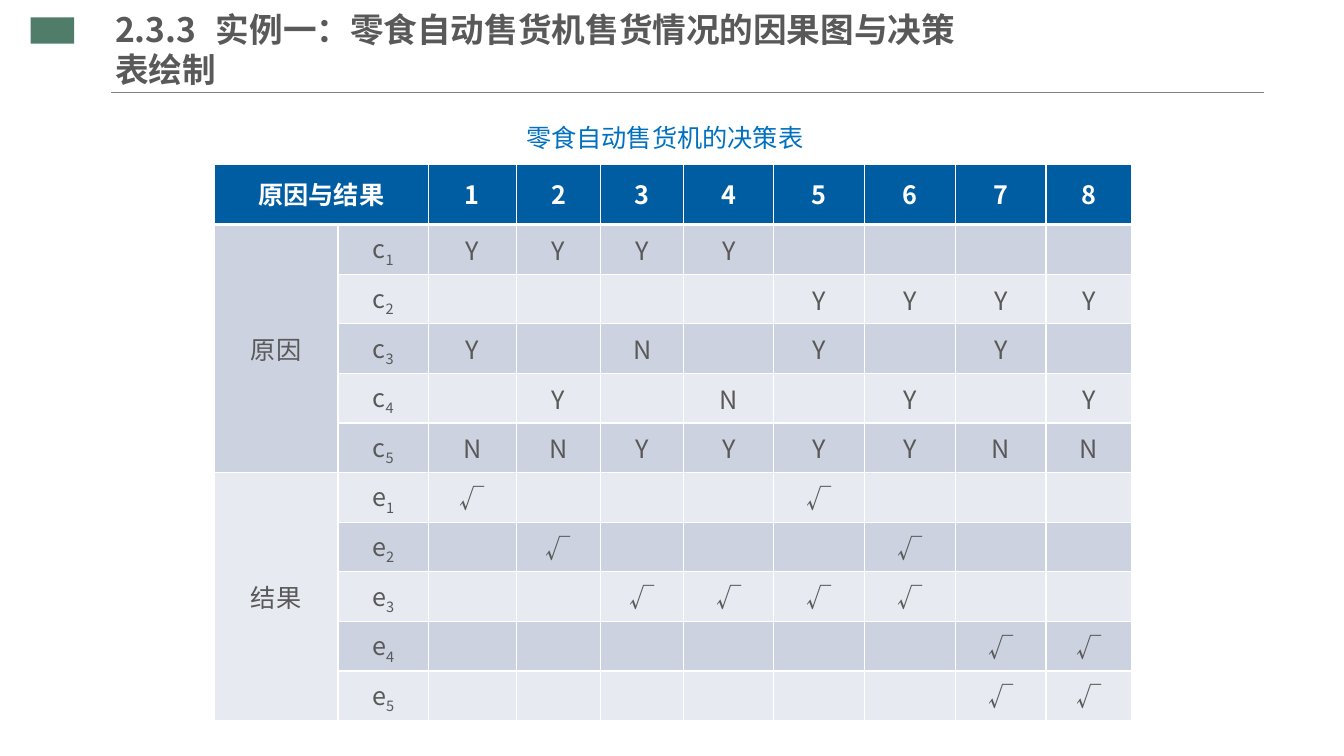
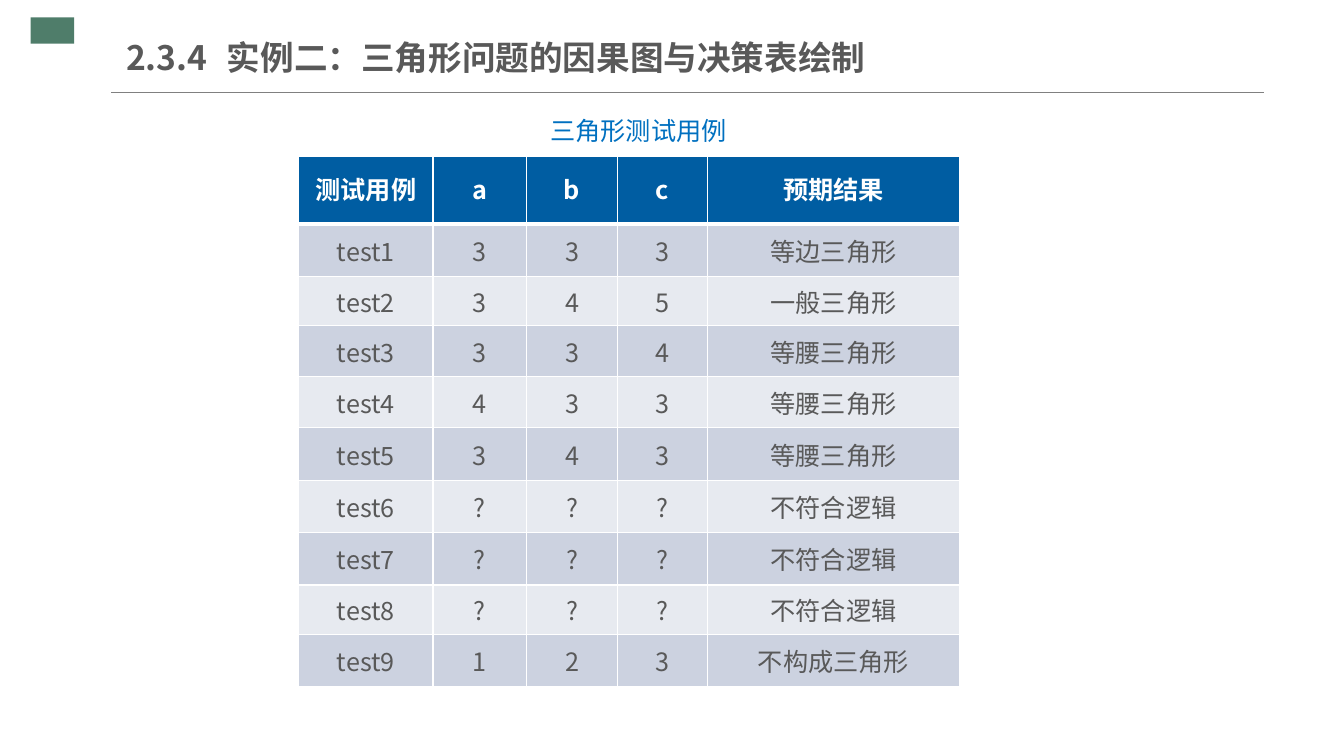
import pptx
import pptx.util
import pptx.dml.color
import pptx.enum.shapes
import pptx.enum.text
import pptx.oxml.ns
import lxml.etree
from dataclasses import dataclass

Cm = pptx.util.Cm
Pt = pptx.util.Pt
ALIGN = pptx.enum.text.PP_ALIGN
MIDDLE = pptx.enum.text.MSO_ANCHOR.MIDDLE
qn = pptx.oxml.ns.qn


@dataclass(frozen=True)
class Theme:
    font: str = "Noto Sans CJK SC"
    mark: str = "4F7D6A"
    rule: str = "808080"
    ink: str = "595959"
    blue: str = "0070C0"
    head: str = "005DA2"
    white: str = "FFFFFF"
    bands: tuple = ("CCD2E0", "E7EAF0")
    title: int = 24
    body: int = 18
    thin: int = 1
    thick: int = 3


THEME = Theme()

RULES = [
    ("原因", "c_1", "YYYY----"),
    ("", "c_2", "----YYYY"),
    ("", "c_3", "Y-N-Y-Y-"),
    ("", "c_4", "-Y-N-Y-Y"),
    ("", "c_5", "NNYYYYNN"),
    ("结果", "e_1", "√---√---"),
    ("", "e_2", "-√---√--"),
    ("", "e_3", "--√√√√--"),
    ("", "e_4", "------√√"),
    ("", "e_5", "------√√"),
]

CASES = [
    ("333", "等边三角形"),
    ("345", "一般三角形"),
    ("334", "等腰三角形"),
    ("433", "等腰三角形"),
    ("343", "等腰三角形"),
    ("???", "不符合逻辑"),
    ("???", "不符合逻辑"),
    ("???", "不符合逻辑"),
    ("123", "不构成三角形"),
]

PAGES = [
    {
        "title": "2.3.3\t实例一：零食自动售货机售货情况的因果图与决策表绘制",
        "title_box": (2.9, 0.53, 21.56, 1.4),
        "label": "零食自动售货机的决策表",
        "label_box": (12.93, 2.51, 8.13, 1.6),
        "origin": (5.4, 4.14),
        "cols": (3.12, 2.27, 2.22, 2.13, 2.09, 2.27, 2.29, 2.3, 2.27, 2.17),
        "rows": (1.52,) + (1.25,) * len(RULES),
        "cells": [["原因与结果", "", *"12345678"]]
        + [[group, name, *marks.replace("-", " ")] for group, name, marks in RULES],
        "spans": [((0, 0), (0, 1)), ((1, 0), (5, 0)), ((6, 0), (10, 0))],
    },
    {
        "title": "2.3.4\t实例二：三角形问题的因果图与决策表绘制",
        "title_box": (3.18, 0.74, 19.48, 1.4),
        "label": "三角形测试用例",
        "label_box": (13.54, 2.34, 6.17, 1.85),
        "origin": (7.53, 3.94),
        "cols": (3.38, 2.36, 2.29, 2.27, 6.35),
        "rows": (1.7, 1.32, 1.25, 1.27, 1.3, 1.32, 1.32, 1.32, 1.25, 1.32),
        "cells": [["测试用例", *"abc", "预期结果"]]
        + [[f"test{num}", *sides, kind] for num, (sides, kind) in enumerate(CASES, 1)],
        "spans": [],
    },
]


def rgb(code):
    return pptx.dml.color.RGBColor.from_string(code)


def style(para, size, color, bold=False):
    for run in para.runs:
        run.font.size = Pt(size)
        run.font.bold = bold
        run.font.color.rgb = rgb(color)
        run.font.name = THEME.font
        props = run._r.get_or_add_rPr()
        lxml.etree.SubElement(props, qn("a:ea"), typeface=THEME.font)


def frame(slide):
    mark = slide.shapes.add_shape(
        pptx.enum.shapes.MSO_SHAPE.RECTANGLE, Cm(0.77), Cm(0.44), Cm(1.1), Cm(0.66))
    mark.shadow.inherit = False
    mark.fill.solid()
    mark.fill.fore_color.rgb = rgb(THEME.mark)
    mark.line.fill.background()
    rule = slide.shapes.add_connector(
        pptx.enum.shapes.MSO_CONNECTOR.STRAIGHT, Cm(2.8), Cm(2.32), Cm(31.86), Cm(2.32))
    rule.line.color.rgb = rgb(THEME.rule)
    rule.line.width = Pt(0.75)
    props = rule.element.find(qn("p:spPr"))
    lxml.etree.SubElement(props, qn("a:effectLst"))


def write(slide, text, box, side):
    text_box = slide.shapes.add_textbox(*map(Cm, box))
    body = text_box.text_frame
    body.word_wrap = True
    body.margin_left = body.margin_right = Cm(side)
    body.margin_top = body.margin_bottom = Cm(0.18)
    body.text = text
    return body


def title(slide, text, box):
    body = write(slide, text, box, 0)
    body.vertical_anchor = MIDDLE
    style(body.paragraphs[0], THEME.title, THEME.ink, True)


def label(slide, text, box):
    para = write(slide, text, box, 0.33).paragraphs[0]
    para.alignment = ALIGN.JUSTIFY
    para.line_spacing = 1.5
    style(para, THEME.body, THEME.blue)


def border(cell, top, base):
    props = cell._tc.get_or_add_tcPr()
    sides = {"L": THEME.thin, "R": THEME.thin, "T": top, "B": base}
    for side, width in sides.items():
        line = lxml.etree.SubElement(props, qn(f"a:ln{side}"), w=str(Pt(width)))
        fill = lxml.etree.SubElement(line, qn("a:solidFill"))
        lxml.etree.SubElement(fill, qn("a:srgbClr"), val=THEME.white)


def fill_cell(cell, text, row):
    head = row == 0
    border(cell, THEME.thick if row == 1 else THEME.thin,
           THEME.thick if head else THEME.thin)
    cell.fill.solid()
    cell.fill.fore_color.rgb = rgb(THEME.head if head else THEME.bands[(row - 1) % 2])
    cell.vertical_anchor = MIDDLE
    if not text.strip():
        return
    stem, _, sub = text.partition("_")
    para = cell.text_frame.paragraphs[0]
    para.text = stem
    para.alignment = ALIGN.CENTER
    if head:
        para.line_spacing = 0.9
    if sub:
        run = para.add_run()
        run.text = sub
        run._r.get_or_add_rPr().set("baseline", "-25000")
    style(para, THEME.body, THEME.white if head else THEME.ink, head)


def grid(slide, page):
    cols, rows = page["cols"], page["rows"]
    left, top = page["origin"]
    table = slide.shapes.add_table(
        len(rows), len(cols), Cm(left), Cm(top), Cm(sum(cols)), Cm(sum(rows))).table
    table.horz_banding = False
    for col, width in zip(table.columns, cols):
        col.width = Cm(width)
    for row, height in zip(table.rows, rows):
        row.height = Cm(height)
    for row, texts in enumerate(page["cells"]):
        for col, text in enumerate(texts):
            fill_cell(table.cell(row, col), text, row)
    for first, last in page["spans"]:
        table.cell(*first).merge(table.cell(*last))


def main():
    deck = pptx.Presentation()
    deck.slide_width, deck.slide_height = Cm(33.87), Cm(19.05)
    for page in PAGES:
        slide = deck.slides.add_slide(deck.slide_layouts[6])
        frame(slide)
        title(slide, page["title"], page["title_box"])
        label(slide, page["label"], page["label_box"])
        grid(slide, page)
    deck.save("out.pptx")


if __name__ == "__main__":
    main()
